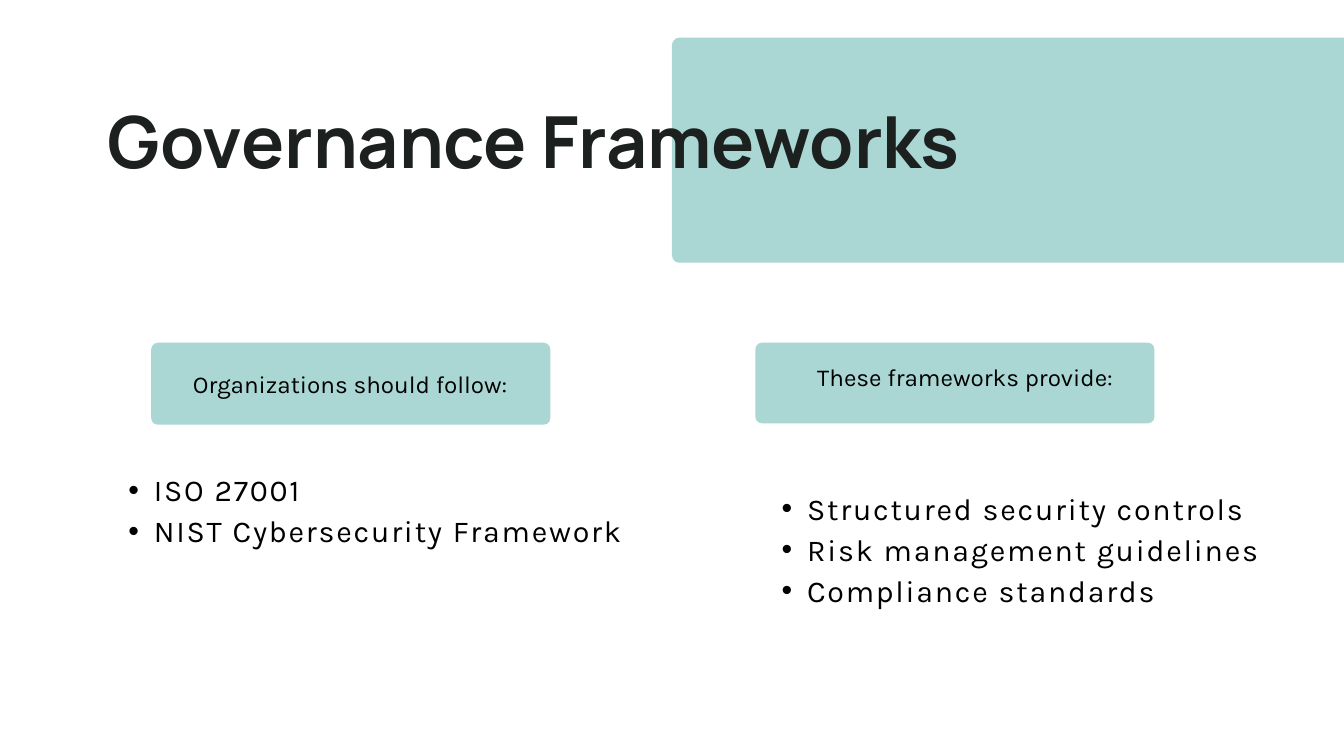
from dataclasses import dataclass

from lxml.etree import SubElement
from pptx import Presentation
from pptx.dml.color import RGBColor
from pptx.enum.shapes import MSO_SHAPE
from pptx.enum.text import PP_ALIGN
from pptx.oxml.ns import qn
from pptx.util import Inches, Pt


@dataclass(frozen=True)
class Theme:
    """Colours and type styles of the deck."""
    mint: RGBColor = RGBColor(0xAA, 0xD7, 0xD4)
    ink: RGBColor = RGBColor(0x1C, 0x21, 0x20)
    black: RGBColor = RGBColor(0, 0, 0)
    head: str = "Manrope"
    body: str = "Karla"
    title: float = 76.9
    label: float = 26
    item: float = 32.5


THEME = Theme()


def apply(target, values):
    """Set each named value on the target."""
    for name, value in values.items():
        setattr(target, name, value)


def panel(slide, box, radius):
    """Draw a mint rounded panel in the box."""
    left, top, width, height = box
    shape = slide.shapes.add_shape(
        MSO_SHAPE.ROUNDED_RECTANGLE, *map(Inches, box))
    shape.adjustments[0] = radius / min(width, height)
    shape.shadow.inherit = False
    shape.fill.solid()
    shape.fill.fore_color.rgb = THEME.mint
    shape.line.fill.background()


def write(slide, box, lines, font, color, para):
    """Write lines as paragraphs in the box and return the paragraphs."""
    frame = slide.shapes.add_textbox(*map(Inches, box)).text_frame
    apply(frame, dict(word_wrap=True, margin_left=0, margin_top=0,
                      margin_right=0, margin_bottom=0))
    for index, line in enumerate(lines):
        item = frame.add_paragraph() if index else frame.paragraphs[0]
        run = item.add_run()
        run.text = line
        apply(item, para)
        apply(run.font, font)
        run.font.color.rgb = color
    return frame.paragraphs


def header(slide, box):
    """Place the mint band and the title across the top."""
    left, top, width, height = box
    panel(slide, (10, top, 18.14, height), 0.11)
    write(slide, (left, top + 1.13, width, 1.18), ["Governance Frameworks"],
          dict(name=THEME.head, size=Pt(THEME.title), bold=True),
          THEME.ink, dict(line_spacing=Pt(74.6)))


def label(slide, box, inset, text):
    """Place a mint label with its centred text at the inset."""
    left, top, width, height = box
    across, down = inset
    panel(slide, box, 0.1)
    write(slide, (left + across, top + down, 5.41, 0.4), [text],
          dict(name=THEME.body, size=Pt(THEME.label)), THEME.black,
          dict(alignment=PP_ALIGN.CENTER, line_spacing=Pt(28.1)))


def bullets(slide, box, lines):
    """Place a bulleted list in the box."""
    items = write(slide, box, lines,
                  dict(name=THEME.body, size=Pt(THEME.item)), THEME.black,
                  dict(level=1, line_spacing=Pt(43.9)))
    for item in items:
        props = item._p.get_or_add_pPr()
        props.set("marL", str(Inches(0.77)))
        props.set("indent", str(Inches(-0.38)))
        SubElement(props, qn("a:buFont")).set("typeface", "Arial")
        SubElement(props, qn("a:buChar")).set("char", "•")
        item.runs[0]._r.get_or_add_rPr().set("spc", "190")


def main():
    """Build and save the slide."""
    deck = Presentation()
    apply(deck, dict(slide_width=Inches(20), slide_height=Inches(11.25)))
    slide = deck.slides.add_slide(deck.slide_layouts[6])
    header(slide, (1.6, 0.56, 14.13, 3.35))
    bullets(slide, (1.52, 6.95, 8.48, 1.19),
            ["ISO 27001", "NIST Cybersecurity Framework"])
    bullets(slide, (11.24, 7.22, 7.98, 1.8),
            ["Structured security controls", "Risk management guidelines",
             "Compliance standards"])
    label(slide, (11.24, 5.1, 5.94, 1.2), (0.42, 0.34),
          "These frameworks provide:")
    label(slide, (2.25, 5.1, 5.94, 1.22), (0.26, 0.44),
          "Organizations should follow:")
    deck.save("out.pptx")


if __name__ == "__main__":
    main()
